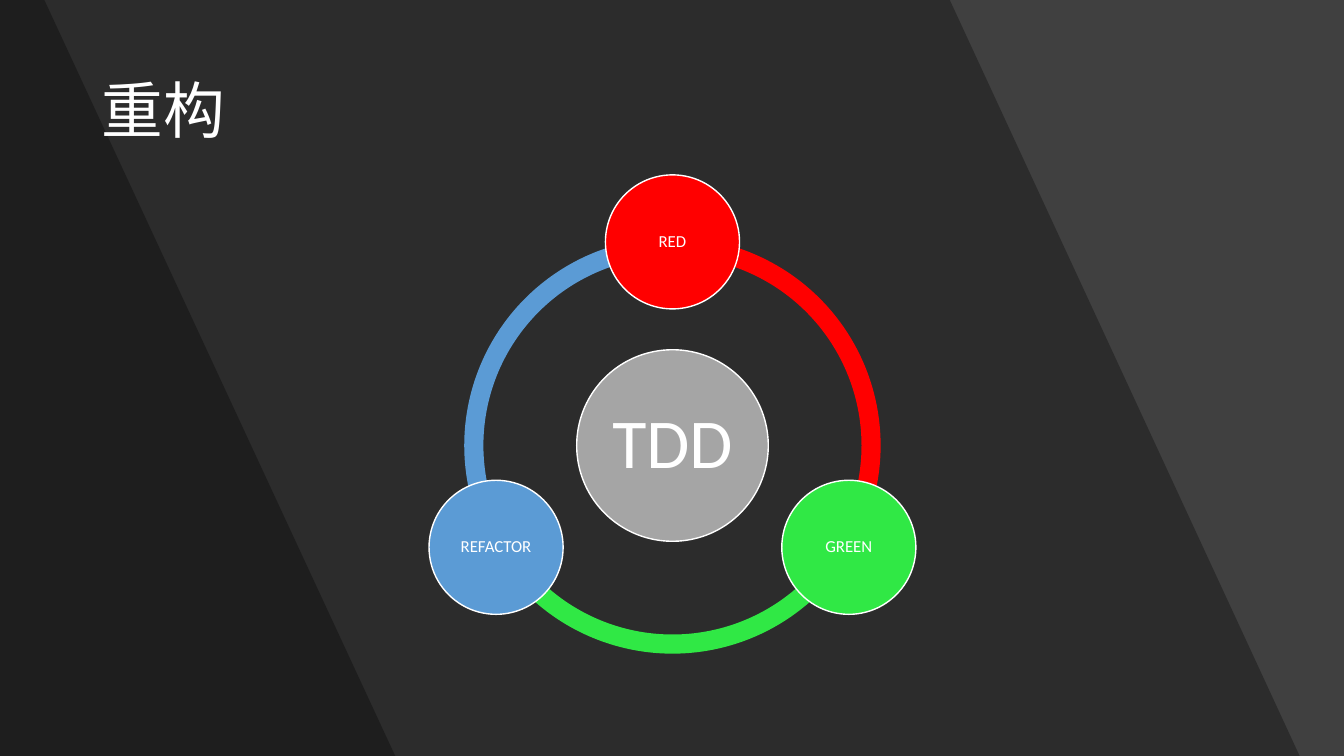
import math
from dataclasses import dataclass

from lxml import etree
from pptx import Presentation
from pptx.dml.color import RGBColor
from pptx.enum import shapes, text
from pptx.oxml.ns import qn
from pptx.util import Inches, Pt

COLORS = {
    "background": "404040",
    "shade": "000000",
    "white": "FFFFFF",
    "hub": "A5A5A5",
    "red": "FF0000",
    "green": "30E845",
    "blue": "5B9BD5",
}
FONT = "Calibri"
SLIDE_WIDTH, SLIDE_HEIGHT = 13.33, 7.5
CENTER_X, CENTER_Y = 6.67, 4.42
RING_DIAMETER = 4.13
RING_THICKNESS = 0.046
ORBIT_RADIUS = 2.02
ADJUSTMENT_PER_DEGREE = 0.6  # 60000 angle units per degree, in steps of 100000


@dataclass
class Band:
    top_right: float
    bottom_right: float


@dataclass
class Circle:
    label: str
    color: str
    x: float
    y: float
    diameter: float
    font_size: float
    inset: float


@dataclass
class Step:
    label: str
    color: str


BANDS = [Band(9.42, 12.89), Band(0.44, 3.92)]
STEPS = [Step("RED", "red"), Step("GREEN", "green"), Step("REFACTOR", "blue")]


def rgb(name: str) -> RGBColor:
    return RGBColor.from_string(COLORS[name])


def paint(shape, color: str) -> None:
    shape.shadow.inherit = False
    shape.fill.solid()
    shape.fill.fore_color.rgb = rgb(color)
    shape.line.fill.background()


def write(frame, content: str, size: float, alignment) -> None:
    frame.vertical_anchor = text.MSO_ANCHOR.MIDDLE
    frame.word_wrap = True
    paragraph = frame.paragraphs[0]
    paragraph.alignment = alignment
    paragraph.line_spacing = 0.9
    run = paragraph.add_run()
    run.text = content
    run.font.name = FONT
    run.font.size = Pt(size)
    run.font.color.rgb = rgb("white")


def add_band(slide, band: Band) -> None:
    builder = slide.shapes.build_freeform(0, 0)
    corners = [(band.top_right, 0), (band.bottom_right, SLIDE_HEIGHT), (0, SLIDE_HEIGHT)]
    builder.add_line_segments([(Inches(x), Inches(y)) for x, y in corners], close=True)
    shape = builder.convert_to_shape()
    paint(shape, "shade")
    color = shape._element.spPr.find(qn("a:solidFill")).find(qn("a:srgbClr"))
    etree.SubElement(color, qn("a:alpha")).set("val", "30000")


def add_arc(slide, color: str, start: float, end: float) -> None:
    shape = slide.shapes.add_shape(
        shapes.MSO_SHAPE.BLOCK_ARC,
        Inches(CENTER_X - RING_DIAMETER / 2), Inches(CENTER_Y - RING_DIAMETER / 2),
        Inches(RING_DIAMETER), Inches(RING_DIAMETER))
    shape.adjustments[0] = start * ADJUSTMENT_PER_DEGREE
    shape.adjustments[1] = end * ADJUSTMENT_PER_DEGREE
    shape.adjustments[2] = RING_THICKNESS
    paint(shape, color)


def add_circle(slide, circle: Circle) -> None:
    shape = slide.shapes.add_shape(
        shapes.MSO_SHAPE.OVAL,
        Inches(circle.x - circle.diameter / 2), Inches(circle.y - circle.diameter / 2),
        Inches(circle.diameter), Inches(circle.diameter))
    paint(shape, circle.color)
    shape.line.color.rgb = rgb("white")
    shape.line.width = Pt(1)
    frame = shape.text_frame
    frame.margin_left = frame.margin_right = Inches(circle.inset)
    frame.margin_top = frame.margin_bottom = Inches(circle.inset)
    write(frame, circle.label, circle.font_size, text.PP_ALIGN.CENTER)


def main() -> None:
    presentation = Presentation()
    presentation.slide_width = Inches(SLIDE_WIDTH)
    presentation.slide_height = Inches(SLIDE_HEIGHT)
    slide = presentation.slides.add_slide(presentation.slide_layouts[6])

    # Background with slanted shades
    slide.background.fill.solid()
    slide.background.fill.fore_color.rgb = rgb("background")
    for band in BANDS:
        add_band(slide, band)

    # Ring: each arc runs clockwise from its step to the next, starting at the top
    sweep = 360 / len(STEPS)
    angles = [(270 + index * sweep) % 360 for index in range(len(STEPS))]
    for step, angle in reversed(list(zip(STEPS, angles))):
        add_arc(slide, step.color, angle, (angle + sweep) % 360)

    # Hub and steps
    add_circle(slide, Circle("TDD", "hub", CENTER_X, CENTER_Y, 1.9, 50, 0.07))
    for step, angle in zip(STEPS, angles):
        x = CENTER_X + ORBIT_RADIUS * math.cos(math.radians(angle))
        y = CENTER_Y + ORBIT_RADIUS * math.sin(math.radians(angle))
        add_circle(slide, Circle(step.label, step.color, x, y, 1.33, 12, 0.02))

    # Title
    title = slide.shapes.add_textbox(Inches(0.91), Inches(0.4), Inches(11.51), Inches(1.45))
    write(title.text_frame, "重构", 44, text.PP_ALIGN.LEFT)

    presentation.save("out.pptx")


if __name__ == "__main__":
    main()
